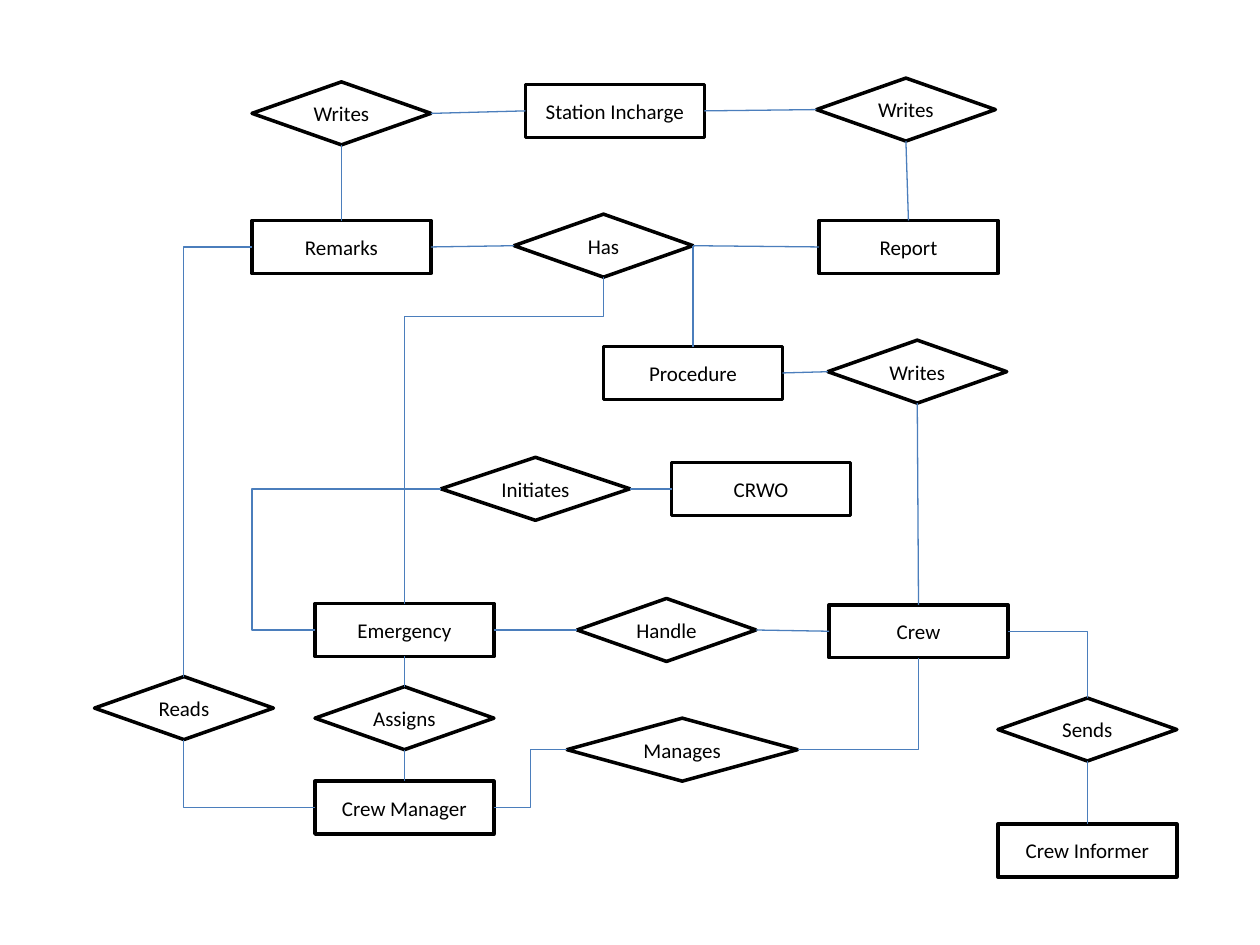
import pptx
import pptx.util
import pptx.dml.color
import pptx.enum.shapes
import pptx.enum.text
import pptx.oxml.ns
import lxml.etree

Inches, Pt = pptx.util.Inches, pptx.util.Pt
KIND = pptx.enum.shapes.MSO_SHAPE
LINK = pptx.enum.shapes.MSO_CONNECTOR
HUE = {"ink": "000000", "link": "4B7EBC"}

# Entities: key, label, left, top
WIDE, TALL = 1.42, 0.42
BOXES = [
    ("station", "Station Incharge", 4.17, 0.67),
    ("remarks", "Remarks", 2, 1.75),
    ("report", "Report", 6.5, 1.75),
    ("steps", "Procedure", 4.79, 2.75),
    ("crwo", "CRWO", 5.33, 3.67),
    ("alarm", "Emergency", 2.5, 4.79),
    ("crew", "Crew", 6.58, 4.8),
    ("boss", "Crew Manager", 2.5, 6.2),
    ("agent", "Crew Informer", 7.92, 6.54),
]

# Relations: key, label, left, top, width
HIGH = 0.5
GEMS = [
    ("note", "Writes", 2, 0.65, WIDE),
    ("file", "Writes", 6.48, 0.62, WIDE),
    ("has", "Has", 4.08, 1.7, WIDE),
    ("draft", "Writes", 6.57, 2.7, WIDE),
    ("start", "Initiates", 3.5, 3.63, 1.5),
    ("handle", "Handle", 4.58, 4.75, WIDE),
    ("reads", "Reads", 0.75, 5.37, WIDE),
    ("gives", "Assigns", 2.5, 5.45, WIDE),
    ("runs", "Manages", 4.5, 5.7, 1.83),
    ("sends", "Sends", 7.92, 5.54, WIDE),
]

# Links: from, side, to, side
SIDES = {"top": 0, "left": 1, "bottom": 2, "right": 3}
LINES = [
    ("note", "bottom", "remarks", "top"),
    ("note", "right", "station", "left"),
    ("report", "top", "file", "bottom"),
    ("file", "left", "station", "right"),
    ("has", "left", "remarks", "right"),
    ("has", "right", "report", "left"),
    ("has", "right", "steps", "top"),
    ("steps", "right", "draft", "left"),
    ("draft", "bottom", "crew", "top"),
    ("crwo", "left", "start", "right"),
    ("handle", "left", "alarm", "right"),
    ("handle", "right", "crew", "left"),
    ("alarm", "bottom", "gives", "top"),
    ("gives", "bottom", "boss", "top"),
    ("sends", "bottom", "agent", "top"),
]
# One corner, leaving sideways
CORNERS = [
    ("runs", "right", "crew", "bottom"),
    ("boss", "left", "reads", "bottom"),
    ("remarks", "left", "reads", "top"),
    ("crew", "right", "sends", "top"),
]
# Two corners, with the place of the middle leg
BENDS = [
    (("runs", "left", "boss", "right"), 0.5),
    (("start", "left", "alarm", "left"), 1.5),
    (("has", "bottom", "alarm", "top"), 0.12),
]


def color(name):
    return pptx.dml.color.RGBColor.from_string(HUE[name])


def write(shape, text, size=12, font="Calibri", hue="ink"):
    frame = shape.text_frame
    frame.word_wrap = True
    frame.margin_left = frame.margin_right = 0
    frame.vertical_anchor = pptx.enum.text.MSO_ANCHOR.MIDDLE
    para = frame.paragraphs[0]
    para.alignment = pptx.enum.text.PP_ALIGN.CENTER
    run = para.add_run()
    run.text = text
    run.font.size = Pt(size)
    run.font.name = font
    run.font.color.rgb = color(hue)


def node(kind, text, *place):
    shape = slide.shapes.add_shape(kind, *map(Inches, place))
    shape.shadow.inherit = False
    shape.fill.background()
    shape.line.color.rgb = color("ink")
    shape.line.width = Pt(2)
    write(shape, text)
    return shape


def join(ends, kind=LINK.STRAIGHT):
    first, out, last, into = ends
    link = slide.shapes.add_connector(kind, 0, 0, 0, 0)
    link.begin_connect(nodes[first], SIDES[out])
    link.end_connect(nodes[last], SIDES[into])
    link.line.color.rgb = color("link")
    link.line.width = Pt(0.75)
    lxml.etree.SubElement(link._element.spPr, pptx.oxml.ns.qn("a:effectLst"))
    return link


def turn(link):
    """Turn an elbow that runs down and to the left by 90 degrees."""
    wide, high = link.width, link.height
    link.left += (wide - high) // 2
    link.top += (high - wide) // 2
    link.width, link.height = high, wide
    frame = link._element.spPr.find(pptx.oxml.ns.qn("a:xfrm"))
    frame.attrib.pop("flipH", None)
    frame.set("rot", "5400000")


deck = pptx.Presentation()
deck.slide_width, deck.slide_height = Inches(10), Inches(7.5)
slide = deck.slides.add_slide(deck.slide_layouts[6])

# Entities and relations
nodes = {}
for key, text, left, top in BOXES:
    nodes[key] = node(KIND.RECTANGLE, text, left, top, WIDE, TALL)
for key, text, left, top, wide in GEMS:
    nodes[key] = node(KIND.DIAMOND, text, left, top, wide, HIGH)

# Straight links
for ends in LINES:
    join(ends)

# Links with one corner
for ends in CORNERS:
    link = join(ends, LINK.ELBOW)
    link._element.spPr.find(pptx.oxml.ns.qn("a:prstGeom")).set("prst", "bentConnector2")

# Links with two corners
for ends, part in BENDS:
    link = join(ends, LINK.ELBOW)
    if ends[1] == "bottom":
        turn(link)
    guides = link._element.spPr.find(".//" + pptx.oxml.ns.qn("a:avLst"))
    lxml.etree.SubElement(guides, pptx.oxml.ns.qn("a:gd"), name="adj1",
                          fmla=f"val {round(part * 100000)}")

deck.save("out.pptx")
